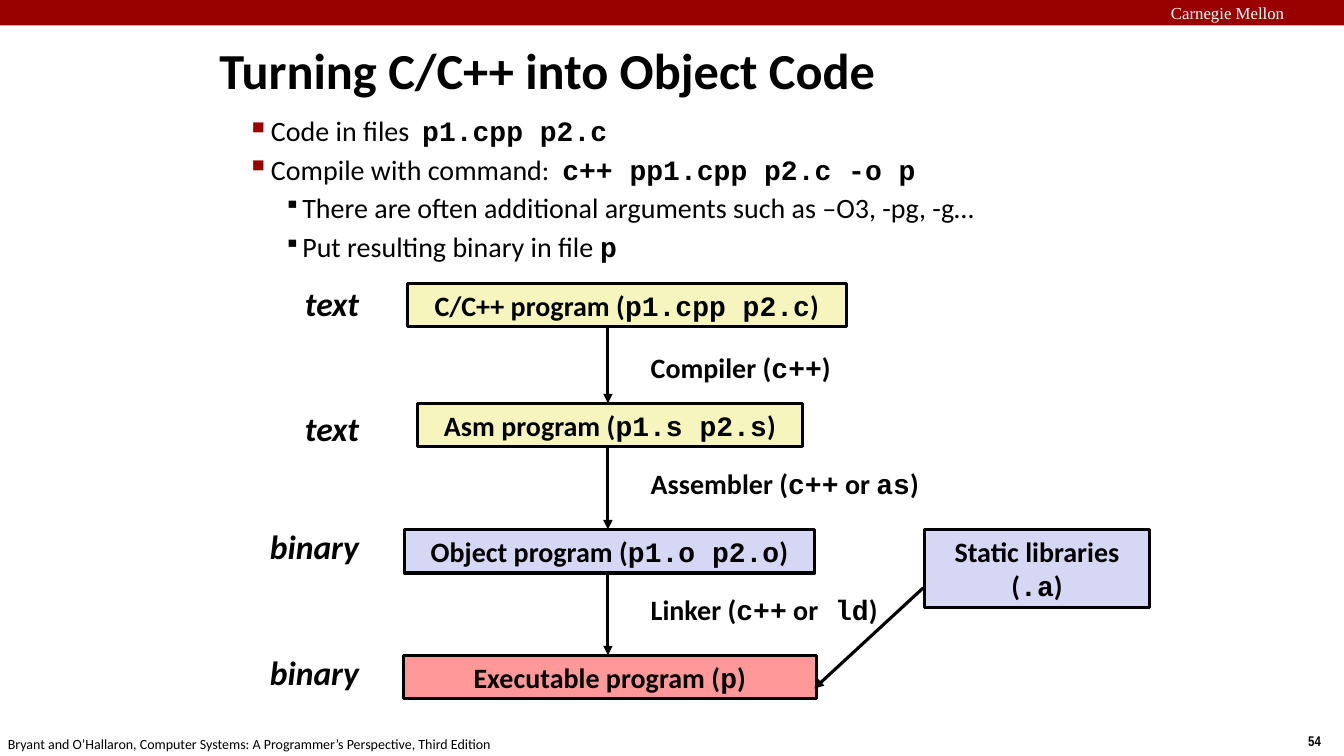
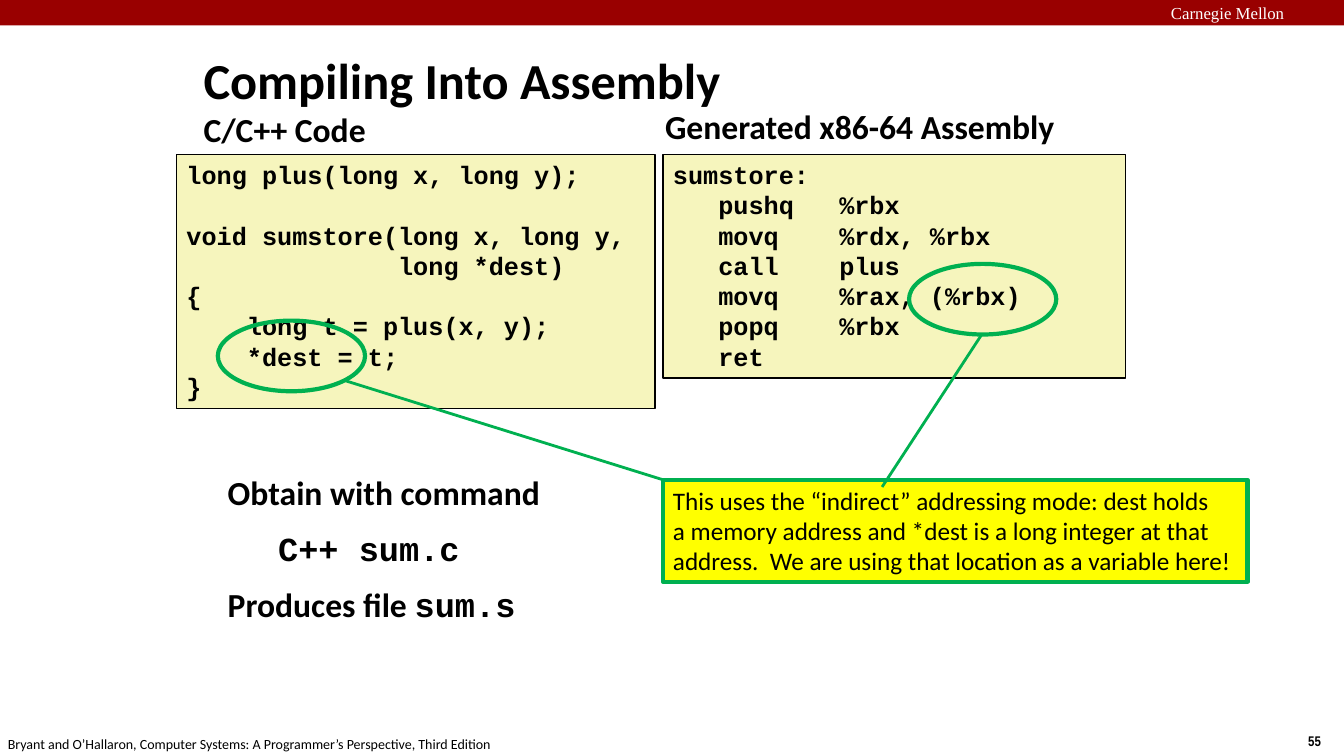
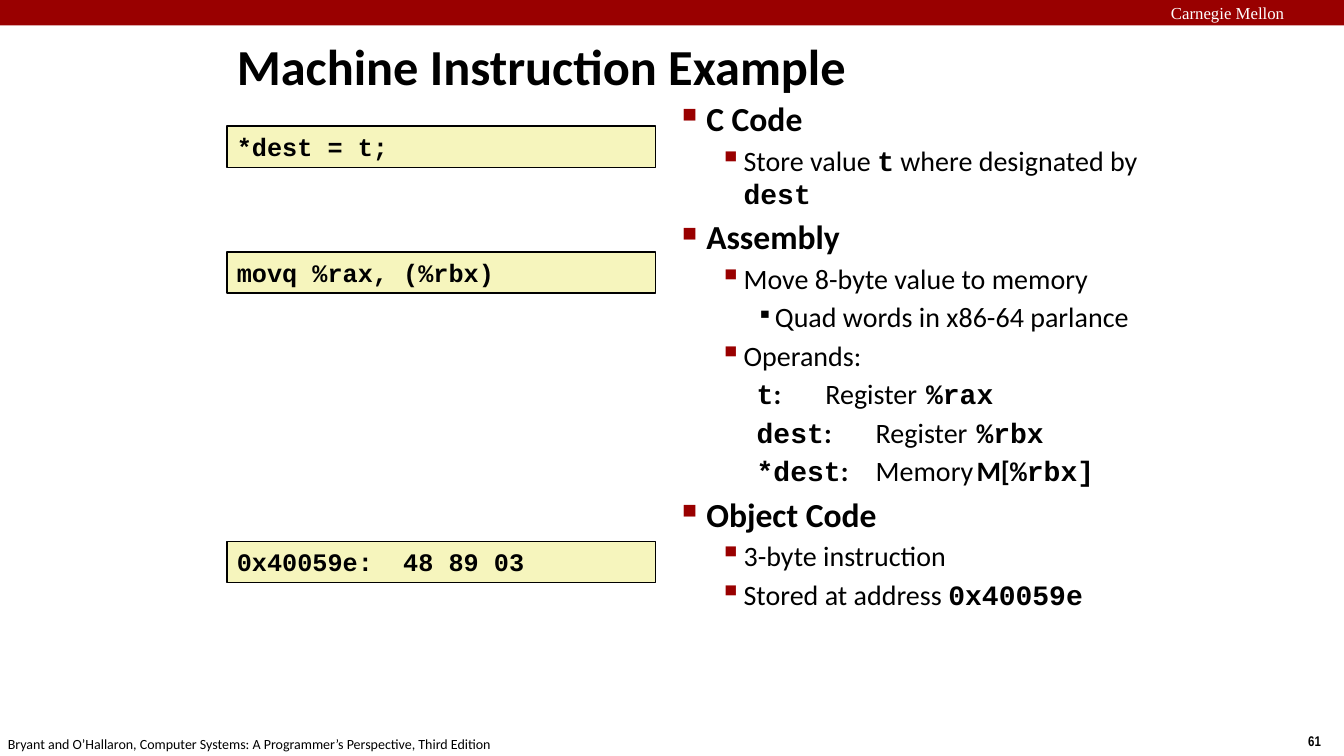
from dataclasses import dataclass
from itertools import pairwise

from lxml import etree
from pptx import Presentation
from pptx.dml.color import RGBColor
from pptx.enum.shapes import MSO_CONNECTOR, MSO_SHAPE
from pptx.enum.text import MSO_ANCHOR, PP_ALIGN
from pptx.oxml.ns import qn
from pptx.util import Cm, Pt

RECT, OVAL = MSO_SHAPE.RECTANGLE, MSO_SHAPE.OVAL
STRAIGHT = MSO_CONNECTOR.STRAIGHT
LEFT, CENTER, RIGHT = PP_ALIGN.LEFT, PP_ALIGN.CENTER, PP_ALIGN.RIGHT
TOP, MIDDLE = MSO_ANCHOR.TOP, MSO_ANCHOR.MIDDLE

SANS, MONO, SERIF, NARROW = "Calibri", "Courier New", "Times New Roman", "Arial Narrow"
BLACK, WHITE, CRIMSON = "000000", "FFFFFF", "990000"
CREAM, LAVENDER, SALMON = "F6F5BD", "D6D6F5", "FF9999"
GREEN, YELLOW = "00B050", "FFFF00"

SLIDE_W, SLIDE_H = 33.87, 19.05
BAND_H = 0.64
FOOTER = "Bryant and O’Hallaron, Computer Systems: A Programmer’s Perspective, Third Edition"


@dataclass(frozen=True)
class Area:
    x: float
    y: float
    w: float
    h: float


@dataclass(frozen=True)
class Level:
    margin: float
    hanging: float
    size: int
    bold: bool = False
    bullet: str = ""
    bullet_size: int = 100
    bullet_color: str = ""


@dataclass(frozen=True)
class Item:
    level: Level
    text: str


@dataclass(frozen=True)
class Stage:
    text: str
    area: Area
    fill: str
    kind: str
    kind_y: float


@dataclass(frozen=True)
class Tool:
    text: str
    y: float


TOPIC = Level(0.61, 0.61, 24, True, "■", 60, CRIMSON)
POINT = Level(1.55, 0.61, 20, False, "▪", 110, CRIMSON)
DETAIL = Level(2.34, 0.46, 20, False, "▪", 80)
OPERAND = Level(2.34, 0.46, 20)

STAGES = [
    Stage("C/C++ program (`p1.cpp p2.c`)", Area(10.26, 7.14, 11.07, 1.1), CREAM, "text", 6.99),
    Stage("Asm program (`p1.s p2.s`)", Area(10.52, 10.16, 9.7, 1.1), CREAM, "text", 10.16),
    Stage("Object program (`p1.o p2.o`)", Area(10.19, 13.34, 10.34, 1.1), LAVENDER, "binary", 13.13),
    Stage("Executable program (`p`)", Area(10.16, 16.51, 10.41, 1.1), SALMON, "binary", 16.31),
]
TOOLS = [
    Tool("Compiler (`c++`)", 8.69),
    Tool("Assembler (`c++` or `as`)", 11.63),
    Tool("Linker (`c++` or` ld`)", 14.81),
]
COMMANDS = [
    Item(POINT, "Code in files  `p1.cpp p2.c`"),
    Item(POINT, "Compile with command:  `c++ pp1.cpp p2.c -o p`"),
    Item(DETAIL, "There are often additional arguments such as –O3, -pg, -g…"),
    Item(DETAIL, "Put resulting binary in file `p`"),
]
EXPLANATION = [
    Item(TOPIC, "C Code"),
    Item(POINT, "Store value `t` where designated by `dest`"),
    Item(TOPIC, "Assembly"),
    Item(POINT, "Move 8-byte value to memory"),
    Item(DETAIL, "Quad words in x86-64 parlance"),
    Item(POINT, "Operands:"),
    Item(OPERAND, "`t`|:|\tRegister\t`%rax`"),
    Item(OPERAND, "`dest`|:|\tRegister\t`%rbx`"),
    Item(OPERAND, "`*dest`|:| \tMemory\t|M[|`%rbx]`"),
    Item(TOPIC, "Object Code"),
    Item(POINT, "3-byte instruction"),
    Item(POINT, "Stored at address `0x40059e`"),
]
C_CODE = """long plus(long x, long y);

void sumstore(long x, long y,
              long *dest)
{
    long t = plus(x, y);
    *dest = t;
}"""
ASM_CODE = """sumstore:
   pushq   %rbx
   movq    %rdx, %rbx
   call    plus
   movq    %rax, (%rbx)
   popq    %rbx
   ret"""
CALLOUT = """This uses the “indirect” addressing mode: dest holds
a memory address and *dest is a long integer at that
address.  We are using that location as a variable here!"""


def rgb(color: str) -> RGBColor:
    return RGBColor.from_string(color)


def add_run(p, text: str, *, size: float, font=SANS, color=BLACK, bold=False, italic=False) -> None:
    r = p.add_run()
    r.text = text
    r.font.name = font
    r.font.size = Pt(size)
    r.font.bold = bold
    r.font.italic = italic
    r.font.color.rgb = rgb(color)


def add_rich(p, text: str, *, bold=False, **fmt) -> None:
    for i, part in enumerate(text.split("`")):
        if i % 2:
            add_run(p, part, **{**fmt, "font": MONO, "bold": True})
            continue
        for j, piece in enumerate(part.split("|")):
            if piece:
                add_run(p, piece, bold=bold or j % 2 == 1, **fmt)


def frame(sp, *, anchor=TOP, inset=(0.25, 0.13)):
    tf = sp.text_frame
    tf.word_wrap = True
    tf.vertical_anchor = anchor
    tf.margin_left = tf.margin_right = Cm(inset[0])
    tf.margin_top = tf.margin_bottom = Cm(inset[1])
    return tf


def paragraph(tf, i: int):
    return tf.paragraphs[0] if i == 0 else tf.add_paragraph()


def write(sp, text: str, *, align=LEFT, anchor=TOP, inset=(0.25, 0.13), spacing=None, **fmt) -> None:
    tf = frame(sp, anchor=anchor, inset=inset)
    for i, line in enumerate(text.split("\n")):
        p = paragraph(tf, i)
        p.alignment = align
        if spacing:
            p.line_spacing = Pt(spacing)
        add_rich(p, line, **fmt)


def place(area: Area) -> tuple:
    return Cm(area.x), Cm(area.y), Cm(area.w), Cm(area.h)


def label(s, text: str, area: Area, **fmt) -> None:
    write(s.shapes.add_textbox(*place(area)), text, **fmt)


def shape(s, kind, area: Area, *, fill="", line="", width=1.0):
    sp = s.shapes.add_shape(kind, *place(area))
    sp.shadow.inherit = False
    if fill:
        sp.fill.solid()
        sp.fill.fore_color.rgb = rgb(fill)
    else:
        sp.fill.background()
    if line:
        sp.line.color.rgb = rgb(line)
        sp.line.width = Pt(width)
    else:
        sp.line.fill.background()
    return sp


def connect(s, x1: float, y1: float, x2: float, y2: float, *, color=BLACK, width=2.25, arrow=True) -> None:
    cn = s.shapes.add_connector(STRAIGHT, Cm(x1), Cm(y1), Cm(x2), Cm(y2))
    cn.line.color.rgb = rgb(color)
    cn.line.width = Pt(width)
    if arrow:
        etree.SubElement(cn.line._get_or_add_ln(), qn("a:tailEnd"), type="triangle")
    etree.SubElement(cn._element.spPr, qn("a:effectLst"))


def set_level(p, level: Level) -> None:
    pPr = p._p.get_or_add_pPr()
    pPr.set("marL", str(Cm(level.margin)))
    pPr.set("indent", str(-Cm(level.hanging)))
    if not level.bullet:
        return
    if level.bullet_color:
        clr = etree.SubElement(pPr, qn("a:buClr"))
        etree.SubElement(clr, qn("a:srgbClr"), val=level.bullet_color)
    etree.SubElement(pPr, qn("a:buSzPct"), val=str(level.bullet_size * 1000))
    etree.SubElement(pPr, qn("a:buChar"), char=level.bullet)


def outline(s, items: list[Item], area: Area, *, gap=0.175) -> None:
    tf = frame(s.shapes.add_textbox(*place(area)))
    for i, item in enumerate(items):
        p = paragraph(tf, i)
        set_level(p, item.level)
        if i:
            p.space_before = Pt(gap * item.level.size)
        add_rich(p, item.text, size=item.level.size, bold=item.level.bold)


def code(s, text: str, area: Area) -> None:
    sp = shape(s, RECT, area, fill=CREAM, line=BLACK)
    write(sp, text, size=18, font=MONO, bold=True, spacing=21.6)


def stage_box(s, text: str, area: Area, fill: str) -> None:
    sp = shape(s, RECT, area, fill=fill, line=BLACK, width=2.25)
    write(sp, text, size=20, bold=True, align=CENTER)


def base_slide(prs, title: str, number: int, x: float, y: float):
    s = prs.slides.add_slide(prs.slide_layouts[6])
    shape(s, RECT, Area(0, 0, SLIDE_W, BAND_H), fill=CRIMSON)
    label(s, "Carnegie Mellon", Area(29.26, 0, 4.5, BAND_H), size=12, font=SERIF,
          color=WHITE, anchor=MIDDLE, inset=(0.25, 0))
    label(s, str(number), Area(32.97, 18.47, 0.8, 0.45), size=10, font=NARROW, bold=True, inset=(0, 0))
    label(s, FOOTER, Area(0.2, 18.54, 13, 0.45), size=10, inset=(0, 0))
    label(s, title, Area(x, y, 20, 1.6), size=36, bold=True, anchor=MIDDLE)
    return s


def object_code_slide(prs) -> None:
    s = base_slide(prs, "Turning C/C++ into Object Code", 54, 5.28, 0.94)
    outline(s, COMMANDS, Area(5.03, 2.74, 23.09, 4.06))
    for stage in STAGES:
        label(s, stage.kind, Area(5.6, stage.kind_y, 3.7, 1.27), size=24, bold=True, italic=True, align=RIGHT)
        stage_box(s, stage.text, stage.area, stage.fill)
    for upper, lower in pairwise(STAGES):
        connect(s, 15.32, upper.area.y + upper.area.h, 15.32, lower.area.y)
    for tool in TOOLS:
        label(s, tool.text, Area(16.15, tool.y, 8.4, 1.1), size=20, bold=True)
    stage_box(s, "Static libraries (`.a`)", Area(23.29, 13.34, 5.69, 1.96), LAVENDER)
    connect(s, 23.27, 14.81, 20.52, 17.35)


def assembly_slide(prs) -> None:
    s = base_slide(prs, "Compiling Into Assembly", 55, 4.88, 1.19)
    label(s, "C/C++ Code", Area(4.88, 2.62, 6.78, 1.02), size=24, bold=True)
    label(s, "Generated x86-64 Assembly", Area(16.51, 2.54, 11.43, 1.14), size=24, bold=True)
    code(s, C_CODE, Area(4.45, 3.89, 12.06, 6.4))
    code(s, ASM_CODE, Area(16.71, 3.89, 11.66, 5.64))
    plain, indented = Level(0, 0, 24, True), Level(1.27, 0, 24, True)
    notes = [
        Item(plain, "Obtain with command"),
        Item(indented, "`C++ sum.c`"),
        Item(plain, "Produces file `sum.s`"),
    ]
    outline(s, notes, Area(5.49, 11.76, 11, 5.89), gap=0.47)
    sp = shape(s, RECT, Area(16.71, 12.09, 14.73, 2.57), fill=YELLOW, line=GREEN, width=3)
    write(sp, CALLOUT, size=18)
    for x, y in ((5.49, 8.08), (22.91, 6.65)):
        shape(s, OVAL, Area(x, y, 3.71, 1.78), line=GREEN, width=3)
    for ends in ((8.66, 9.58, 16.71, 12.09), (24.74, 8.43, 22.23, 12.27)):
        connect(s, *ends, color=GREEN, width=2, arrow=False)


def instruction_slide(prs) -> None:
    s = base_slide(prs, "Machine Instruction Example", 61, 5.72, 0.84)
    outline(s, EXPLANATION, Area(16.94, 2.34, 12.7, 16.08))
    for text, y in (("*dest = t;", 3.18), ("movq %rax, (%rbx)", 6.35), ("0x40059e:  48 89 03", 13.64)):
        code(s, text, Area(5.72, y, 10.8, 1.04))


def main() -> None:
    prs = Presentation()
    prs.slide_width, prs.slide_height = Cm(SLIDE_W), Cm(SLIDE_H)
    object_code_slide(prs)
    assembly_slide(prs)
    instruction_slide(prs)
    prs.save("out.pptx")


if __name__ == "__main__":
    main()
